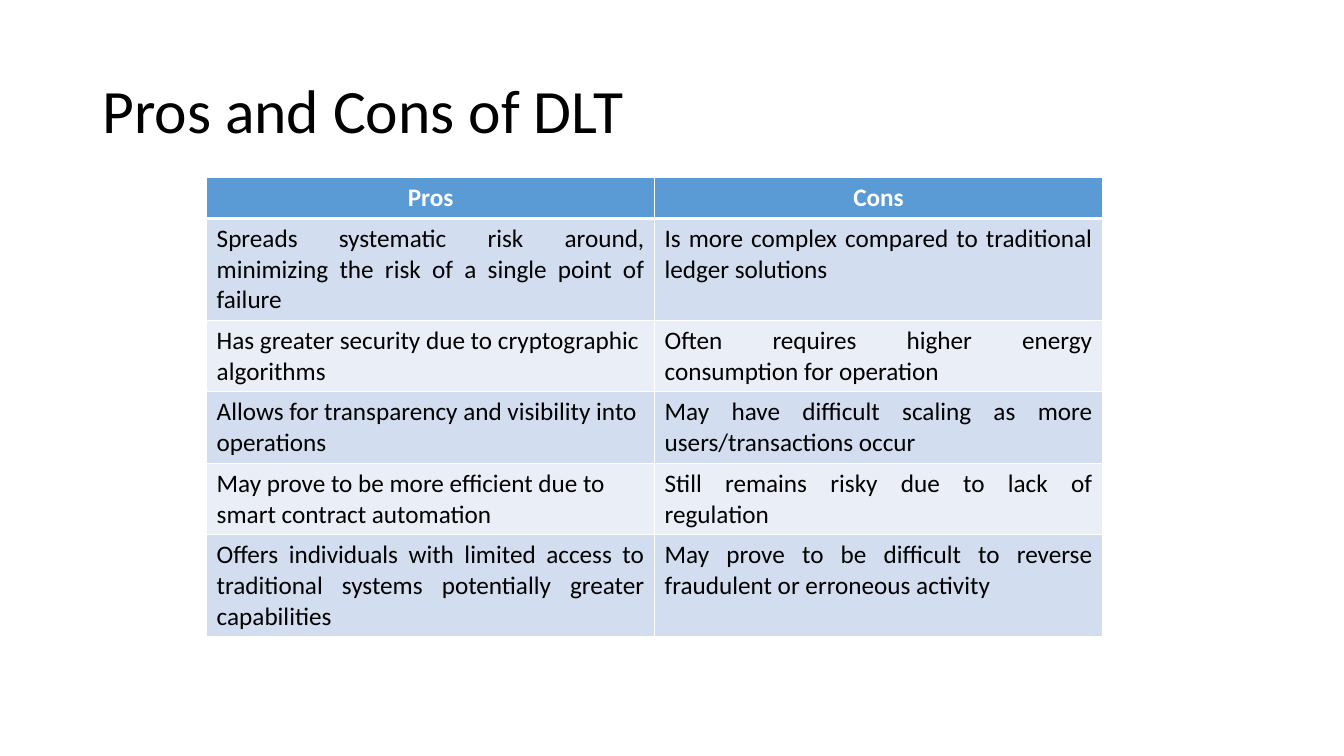
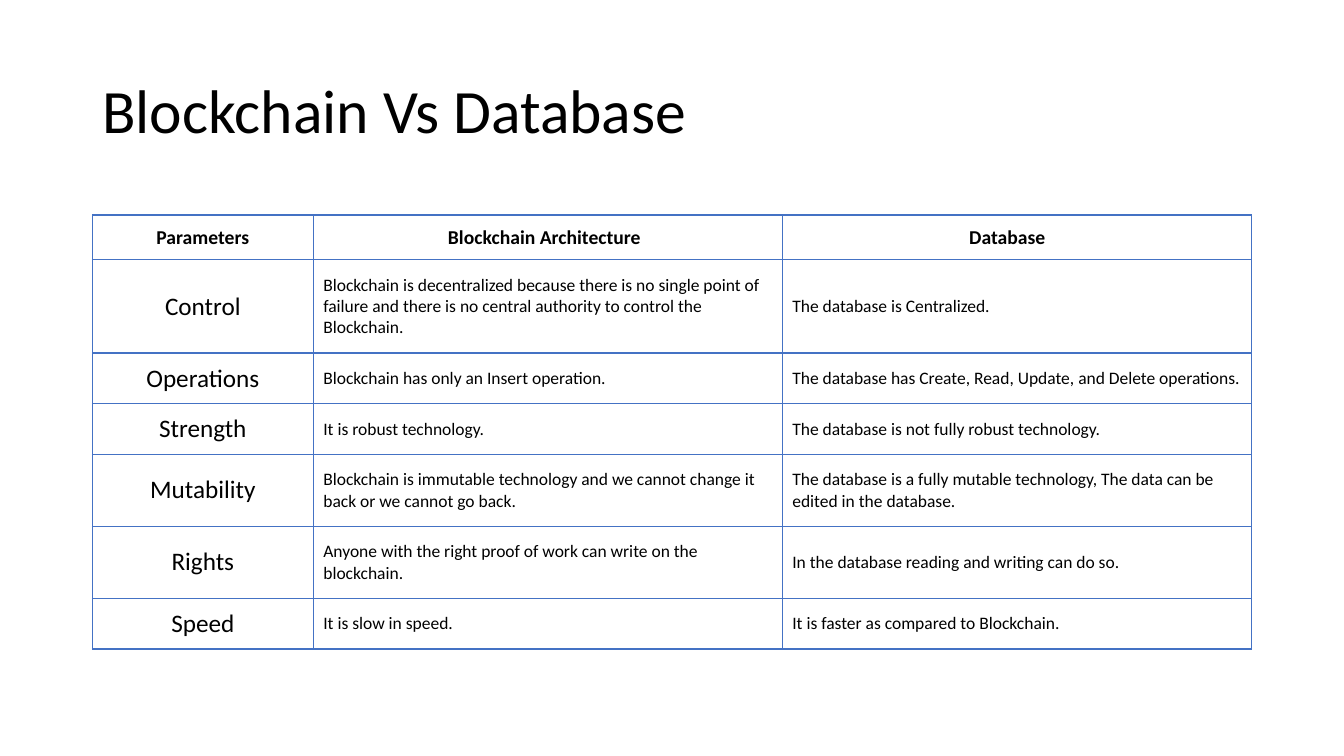
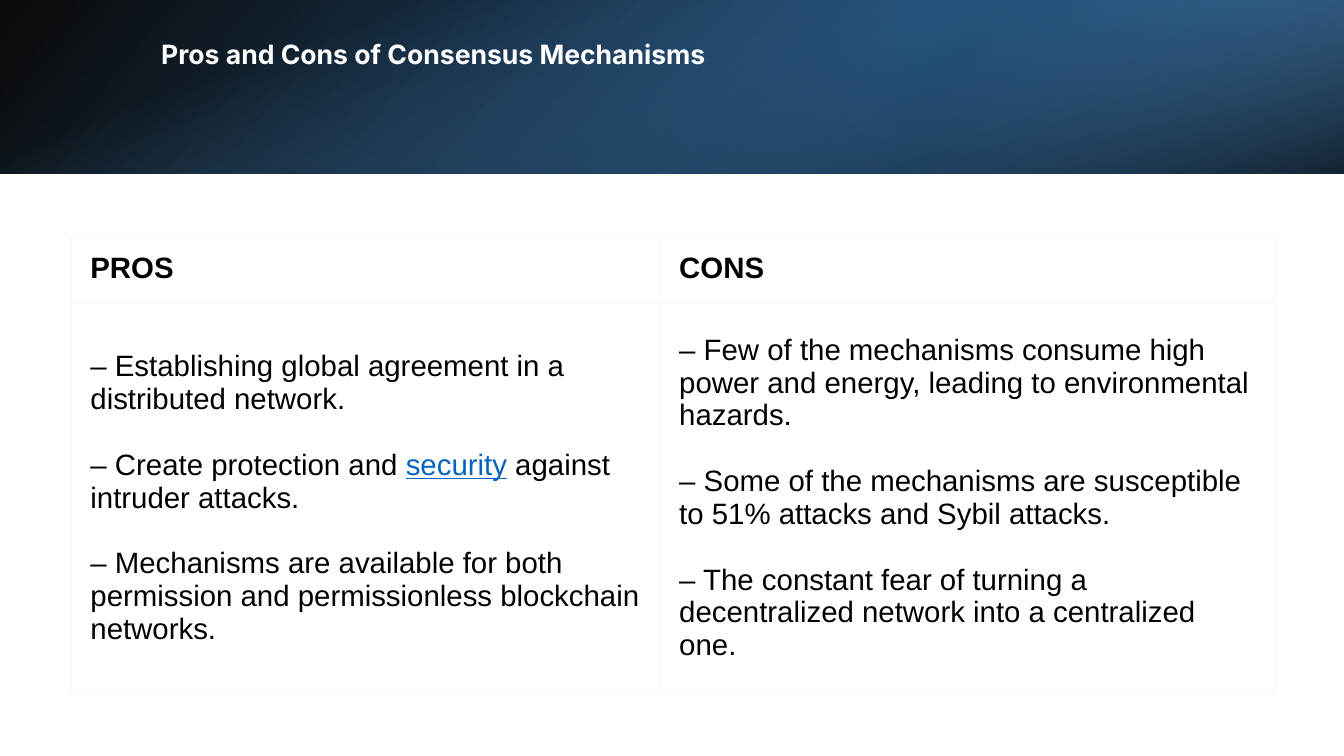
from collections import namedtuple

from lxml.etree import SubElement
from pptx import Presentation
from pptx.dml.color import RGBColor
from pptx.enum.shapes import MSO_SHAPE
from pptx.enum.text import MSO_ANCHOR, PP_ALIGN
from pptx.oxml.ns import qn
from pptx.util import Pt

COLORS = {
    "black": "000000", "white": "FFFFFF", "header": "5B9BD5",
    "band_dark": "D2DEEF", "band_light": "EAEFF7", "grid": "4472C4",
    "pale_grid": "F5F6F9", "link": "0563C1", "ocean": "2E75B6", "navy": "1F4E79",
}
LEFT, CENTER, JUSTIFY = PP_ALIGN.LEFT, PP_ALIGN.CENTER, PP_ALIGN.JUSTIFY
TOP, MIDDLE = MSO_ANCHOR.TOP, MSO_ANCHOR.MIDDLE

CellStyle = namedtuple(
    "CellStyle", "font size bold color align anchor insets fill space_before",
    defaults=("Calibri", 18, False, "black", LEFT, MIDDLE, (7.2, 3.6, 7.2, 3.6), None, 0))

TITLE_BOX = (66, 28.8, 828, 104.4)

DLT_HEADERS = ("Pros", "Cons")
DLT_ROWS = [
    (3, JUSTIFY, "Spreads systematic risk around, minimizing the risk of a single point of failure",
     "Is more complex compared to traditional ledger solutions"),
    (2, LEFT, "Has greater security due to cryptographic algorithms",
     "Often requires higher energy consumption for operation"),
    (2, LEFT, "Allows for transparency and visibility into operations",
     "May have difficult scaling as more users/transactions occur"),
    (2, LEFT, "May prove to be more efficient due to smart contract automation",
     "Still remains risky due to lack of regulation"),
    (3, JUSTIFY,
     "Offers individuals with limited access to traditional systems potentially greater capabilities",
     "May prove to be difficult to reverse fraudulent or erroneous activity"),
]

DATABASE_HEADERS = ("Parameters", "Blockchain Architecture", "Database")
DATABASE_ROWS = [
    (3, "Control",
     "Blockchain is decentralized because there is no single point of failure and there is no "
     "central authority to control the Blockchain.",
     "The database is Centralized."),
    (1, "Operations", "Blockchain has only an Insert operation.",
     "The database has Create, Read, Update, and Delete operations."),
    (1, "Strength", "It is robust technology.", "The database is not fully robust technology."),
    (2, "Mutability",
     "Blockchain is immutable technology and we cannot change it back or we cannot go back.",
     "The database is a fully mutable technology, The data can be edited in the database."),
    (2, "Rights", "Anyone with the right proof of work can write on the blockchain.",
     "In the database reading and writing can do so."),
    (1, "Speed", "It is slow in speed.", "It is faster as compared to Blockchain."),
]

CONSENSUS_HEADERS = ("PROS", "CONS")
CONSENSUS_PROS = [
    "– Establishing global agreement in a distributed network.",
    ("– Create protection and ", ("security", "link"), " against intruder attacks."),
    "– Mechanisms are available for both permission and permissionless blockchain networks.",
]
CONSENSUS_CONS = [
    "– Few of the mechanisms consume high power and energy, leading to environmental hazards.",
    "– Some of the mechanisms are susceptible to 51% attacks and Sybil attacks.",
    "– The constant fear of turning a decentralized network into a centralized one.",
]

BAND_LAYERS = [
    {"box": (0, 0, 960, 124), "rotation": 0, "flip": True, "angle": 140,
     "stops": [(0, "black", 96), (100, "ocean", 100)]},
    {"box": (640, 0, 320, 124), "rotation": 180, "flip": True, "angle": 320,
     "stops": [(19, "navy", 68), (100, "header", 79)]},
    {"box": (418, -418, 124, 960), "rotation": 90, "flip": False, "angle": 340,
     "stops": [(23, "header", 0), (99, "black", 74)]},
]


def rgb(name):
    return RGBColor.from_string(COLORS[name])


def add_run(paragraph, text, font, size, color, bold=False, underline=False):
    run = paragraph.add_run()
    run.text = text
    run.font.name = font
    run.font.size = Pt(size)
    run.font.bold = bold
    run.font.color.rgb = rgb(color)
    if underline:
        run.font.underline = True


def add_title(slide, text, box=TITLE_BOX, font="Calibri", size=44, color="black",
              bold=False, anchor=MIDDLE):
    frame = slide.shapes.add_textbox(*map(Pt, box)).text_frame
    frame.word_wrap = True
    frame.vertical_anchor = anchor
    paragraph = frame.paragraphs[0]
    paragraph.line_spacing = 0.9
    add_run(paragraph, text, font, size, color, bold)


def set_borders(cell, color, widths):
    properties = cell._tc.get_or_add_tcPr()
    for side, width in zip("LRTB", widths):
        line = SubElement(properties, qn(f"a:ln{side}"), w=str(Pt(width)))
        fill = SubElement(line, qn("a:solidFill"))
        SubElement(fill, qn("a:srgbClr"), val=COLORS[color])


def fill_cell(cell, content, style):
    cell.margin_left, cell.margin_top, cell.margin_right, cell.margin_bottom = map(Pt, style.insets)
    cell.vertical_anchor = style.anchor
    if style.fill:
        cell.fill.solid()
        cell.fill.fore_color.rgb = rgb(style.fill)
    else:
        cell.fill.background()
    frame = cell.text_frame
    for index, item in enumerate(content if isinstance(content, list) else [content]):
        paragraph = frame.add_paragraph() if index else frame.paragraphs[0]
        paragraph.alignment = style.align
        if index:
            paragraph.space_before = Pt(style.space_before)
        for part in (item if isinstance(item, tuple) else (item,)):
            linked = isinstance(part, tuple)
            text, color = part if linked else (part, style.color)
            add_run(paragraph, text, style.font, style.size, color, style.bold, linked)


def add_grid(slide, left, top, widths, heights, rows, border, line=1, header_line=None):
    header_line = header_line or line
    table = slide.shapes.add_table(len(heights), len(widths), Pt(left), Pt(top),
                                   Pt(sum(widths)), Pt(sum(heights))).table
    table.first_row = table.horz_banding = False
    for column, width in zip(table.columns, widths):
        column.width = Pt(width)
    for row_index, (row, height, cells) in enumerate(zip(table.rows, heights, rows)):
        row.height = Pt(height)
        upper = header_line if row_index == 1 else line
        lower = header_line if row_index == 0 else line
        for cell, (content, style) in zip(row.cells, cells):
            set_borders(cell, border, (line, line, upper, lower))
            fill_cell(cell, content, style)


def add_band_layer(slide, box, rotation, flip, angle, stops):
    shape = slide.shapes.add_shape(MSO_SHAPE.RECTANGLE, *map(Pt, box))
    shape.shadow.inherit = False
    shape.line.fill.background()
    shape.rotation = rotation
    properties = shape._element.spPr
    if flip:
        properties.find(qn("a:xfrm")).set("flipH", "1")
    shape.fill.gradient()
    shape.fill.gradient_angle = 360 - angle
    for stop, (position, color, _) in zip(shape.fill.gradient_stops, stops):
        stop.position = position / 100
        stop.color.rgb = rgb(color)
    for color_element, (_, _, opacity) in zip(properties.iter(qn("a:srgbClr")), stops):
        SubElement(color_element, qn("a:alpha"), val=str(opacity * 1000))


def build_dlt(slide):
    add_title(slide, "Pros and Cons of DLT")
    header = CellStyle(bold=True, color="white", align=CENTER, anchor=TOP, fill="header")
    rows = [[(text, header) for text in DLT_HEADERS]]
    for index, (_, pros_align, pros, cons) in enumerate(DLT_ROWS):
        fill = "band_light" if index % 2 else "band_dark"
        body = CellStyle(anchor=TOP, fill=fill)
        rows.append([(pros, body._replace(align=pros_align)), (cons, body._replace(align=JUSTIFY))])
    heights = [7.2 + 21.9 * lines for lines in [1] + [row[0] for row in DLT_ROWS]]
    add_grid(slide, 147.6, 126.9, (320, 320), heights, rows, "white", header_line=3)


def build_database(slide):
    add_title(slide, "Blockchain Vs Database")
    name = CellStyle(align=CENTER, insets=(3, 7.2, 3, 7.2))
    header = name._replace(size=14, bold=True)
    headers = [header, header._replace(insets=(7.2, 7.2, 12, 7.2)),
               header._replace(insets=(7.2, 7.2, 20.8, 7.2))]
    body = CellStyle(size=12.5, insets=(7.2, 10.5, 7.2, 10.5))
    rows = [list(zip(DATABASE_HEADERS, headers))]
    rows += [list(zip(texts, (name, body, body))) for _, *texts in DATABASE_ROWS]
    heights = [32] + [21 + 15.2 * row[0] for row in DATABASE_ROWS]
    add_grid(slide, 66, 153.6, (157.8, 335, 335), heights, rows, "grid")


def build_consensus(slide):
    for layer in BAND_LAYERS:
        add_band_layer(slide, **layer)
    add_title(slide, "Pros and Cons of Consensus Mechanisms", (108, 26, 790.6, 69),
              "Inter", 19, "white", True, TOP)
    body = CellStyle(font="Arial", size=21, insets=(14, 9.4, 14, 9.4), space_before=23.5)
    header = body._replace(bold=True)
    rows = [[(text, header) for text in CONSENSUS_HEADERS],
            [(CONSENSUS_PROS, body), (CONSENSUS_CONS, body)]]
    add_grid(slide, 50.6, 168, (420.6, 440), (48, 279.2), rows, "pale_grid", 0.5)


def main():
    presentation = Presentation()
    presentation.slide_width, presentation.slide_height = Pt(960), Pt(540)
    for build in (build_dlt, build_database, build_consensus):
        build(presentation.slides.add_slide(presentation.slide_layouts[6]))
    presentation.save("out.pptx")


if __name__ == "__main__":
    main()
